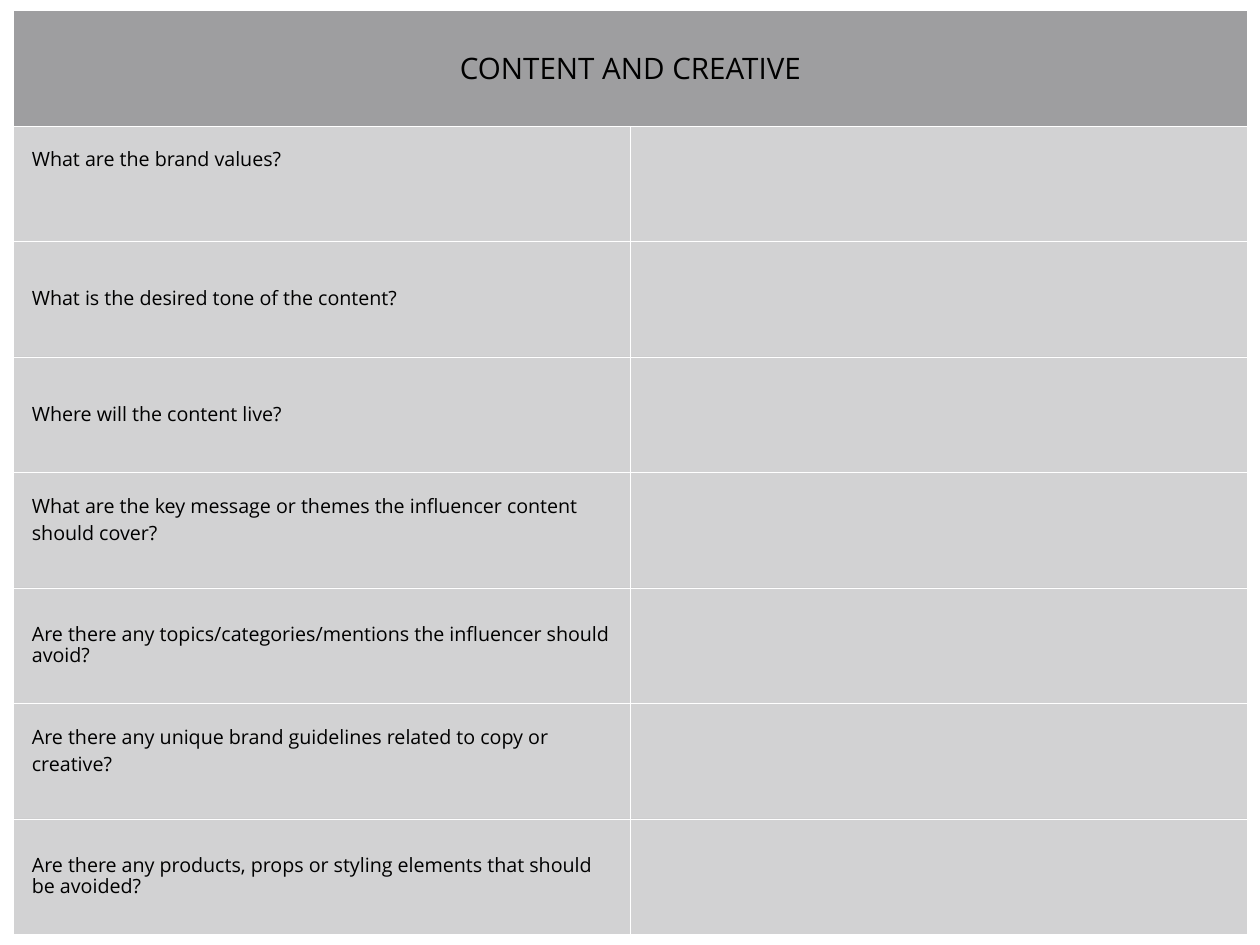
import dataclasses

import pptx
import pptx.dml.color
import pptx.enum.text
import pptx.oxml
import pptx.oxml.ns
import pptx.util

Inches = pptx.util.Inches
Pt = pptx.util.Pt
RGBColor = pptx.dml.color.RGBColor
PP_ALIGN = pptx.enum.text.PP_ALIGN


@dataclasses.dataclass(frozen=True)
class Theme:
    font: str = "Open Sans"
    text: str = "000000"
    fill: str = "6B6B6E"
    border: str = "FFFFFF"
    header_alpha: int = 65
    body_alpha: int = 30
    header_size: float = 24
    body_size: float = 16
    inner_line: float = 0.25
    outer_line: float = 1
    inset: float = 0.21


THEME = Theme()
HEADING = "CONTENT AND CREATIVE"

# Question, extra bottom inset in inches, line spacing
QUESTIONS = [
    ("What are the brand values?", 0.53, 0.8),
    ("What is the desired tone of the content?", 0, 0.8),
    ("Where will the content live?", 0, 0.8),
    ("What are the key message or themes the influencer content should cover?", 0.24, 1.0),
    ("Are there any topics/categories/mentions the influencer should avoid?", 0, 0.8),
    ("Are there any unique brand guidelines related to copy or creative?", 0.24, 1.0),
    ("Are there any products, props or styling elements that should be avoided?", 0, 0.8),
]


def fill_cell(cell, alpha):
    """Fill a cell with the theme grey at the given opacity in percent."""
    cell.fill.solid()
    cell.fill.fore_color.rgb = RGBColor.from_string(THEME.fill)
    color = cell._tc.tcPr.find(".//" + pptx.oxml.ns.qn("a:srgbClr"))
    color.append(pptx.oxml.parse_xml(
        f'<a:alpha {pptx.oxml.ns.nsdecls("a")} val="{alpha * 1000}"/>'))


def border_cell(cell, outer_sides=""):
    """Draw all four borders, with the sides named in outer_sides thicker."""
    for i, side in enumerate("LRTB"):
        points = THEME.outer_line if side in outer_sides else THEME.inner_line
        line = pptx.oxml.parse_xml(
            f'<a:ln{side} {pptx.oxml.ns.nsdecls("a")} w="{Pt(points)}">'
            f'<a:solidFill><a:srgbClr val="{THEME.border}"/></a:solidFill>'
            f'</a:ln{side}>')
        cell._tc.tcPr.insert(i, line)


def write_cell(cell, text, size, before, align=PP_ALIGN.LEFT, spacing=1.0, extra_bottom=0):
    """Write one formatted paragraph in the vertical middle of a cell."""
    cell.vertical_anchor = pptx.enum.text.MSO_ANCHOR.MIDDLE
    cell.margin_left = cell.margin_right = cell.margin_top = Inches(THEME.inset)
    cell.margin_bottom = Inches(THEME.inset + extra_bottom)
    p = cell.text_frame.paragraphs[0]
    p.text = text
    p.alignment = align
    p.line_spacing = spacing
    p.space_before = Pt(before)
    p.font.name = THEME.font
    p.font.size = Pt(size)
    p.font.color.rgb = RGBColor.from_string(THEME.text)


def add_question_table(slide):
    """Add the heading row and one row with an answer cell per question."""
    rows, cols = len(QUESTIONS) + 1, 2
    table = slide.shapes.add_table(
        rows, cols, Inches(0.15), Inches(0.12), Inches(13.93), Inches(10.43)).table
    table.first_row = table.horz_banding = False

    # Heading across both columns
    heading = table.cell(0, 0)
    heading.merge(table.cell(0, cols - 1))
    write_cell(heading, HEADING, THEME.header_size, 9, PP_ALIGN.CENTER)

    # Questions in the left column
    for row, (question, extra, spacing) in enumerate(QUESTIONS, start=1):
        write_cell(table.cell(row, 0), question, THEME.body_size, 1,
                   spacing=spacing, extra_bottom=extra)

    # Fills and borders
    for row in range(rows):
        for col in range(cols):
            cell = table.cell(row, col)
            fill_cell(cell, THEME.body_alpha if row else THEME.header_alpha)
            border_cell(cell, "" if row else "LRT")


def main():
    prs = pptx.Presentation()
    prs.slide_width, prs.slide_height = Inches(14.22), Inches(10.67)
    slide = prs.slides.add_slide(prs.slide_layouts[6])
    add_question_table(slide)
    prs.save("out.pptx")


main()
